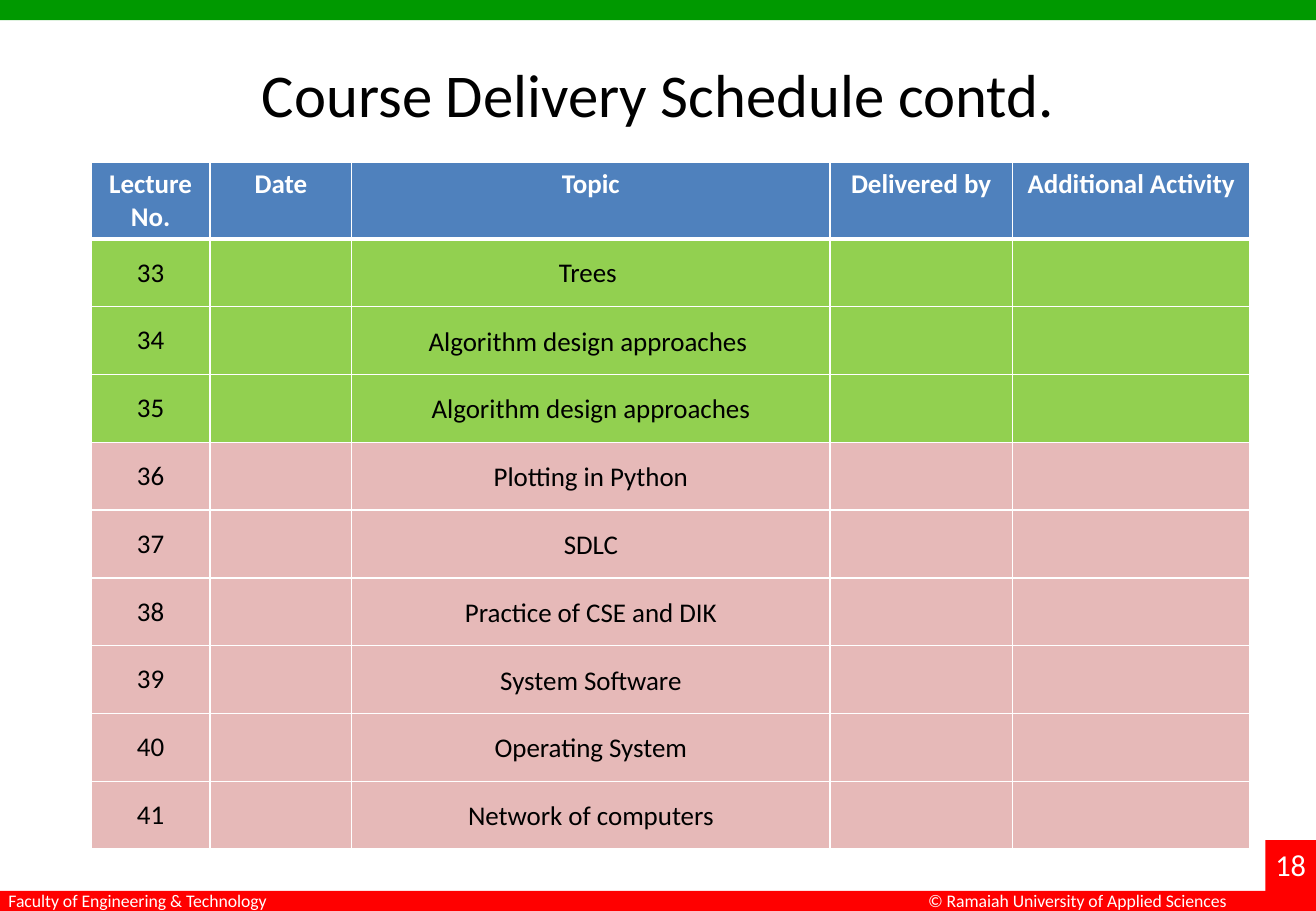
from lxml.etree import SubElement
from pptx import Presentation
from pptx.dml.color import RGBColor
from pptx.enum.shapes import MSO_SHAPE
from pptx.enum.text import MSO_ANCHOR, PP_ALIGN
from pptx.oxml.ns import qn
from pptx.util import Inches, Pt

GRID_COLUMNS, GRID_ROWS = 26, 18
UNIT = 5 / 12
FONT = "Calibri"
WHITE, BLACK, RED, GREEN = "FFFFFF", "000000", "FF0000", "009900"
HEADER_BLUE, DONE_GREEN, PENDING_PINK = "4F81BD", "92D050", "E6B9B8"

COLUMN_WIDTHS = [2.35, 2.8, 9.45, 3.6, 4.7]
HEADER_HEIGHT, LECTURE_HEIGHT = 1.47, 1.34
HEADERS = ["Lecture No.", "Date", "Topic", "Delivered by", "Additional Activity"]
FIRST_LECTURE, DONE_COUNT = 33, 3
TOPICS = [
    "Trees ",
    "Algorithm design approaches ",
    "Algorithm design approaches",
    "Plotting in Python",
    "SDLC",
    "Practice of CSE and DIK",
    "System Software",
    "Operating System",
    "Network of computers",
]


def grid(units):
    return Inches(units * UNIT)


def color(hex_text):
    return RGBColor.from_string(hex_text)


def add_run(p, text, size, hex_text, bold=False):
    r = p.add_run()
    r.text = text
    r.font.name = FONT
    r.font.size = Pt(size)
    r.font.bold = bold
    r.font.color.rgb = color(hex_text)


def add_block(s, x, y, w, h, hex_text):
    sp = s.shapes.add_shape(MSO_SHAPE.RECTANGLE, *map(grid, (x, y, w, h)))
    sp.shadow.inherit = False
    sp.fill.solid()
    sp.fill.fore_color.rgb = color(hex_text)
    sp.line.fill.background()


def add_text(s, x, y, w, h, text, size, hex_text, align=PP_ALIGN.LEFT, wrap=False):
    tf = s.shapes.add_textbox(*map(grid, (x, y, w, h))).text_frame
    tf.word_wrap = wrap
    p = tf.paragraphs[0]
    p.alignment = align
    add_run(p, text, size, hex_text)


def set_borders(cell, top, bottom):
    tc_pr = cell._tc.get_or_add_tcPr()
    for side, width in (("L", 1), ("R", 1), ("T", top), ("B", bottom)):
        ln = SubElement(tc_pr, qn(f"a:ln{side}"), w=str(Pt(width)))
        SubElement(SubElement(ln, qn("a:solidFill")), qn("a:srgbClr"), val=WHITE)


def fill_cell(cell, row, column, text, hex_text):
    is_header = row == 0
    set_borders(cell, 3 if row == 1 else 1, 3 if is_header else 1)
    cell.fill.solid()
    cell.fill.fore_color.rgb = color(hex_text)
    if not text:
        return
    p = cell.text_frame.paragraphs[0]
    p.alignment = PP_ALIGN.CENTER
    add_run(p, text, 16, WHITE if is_header else BLACK, is_header)
    if is_header:
        return
    cell.vertical_anchor = MSO_ANCHOR.MIDDLE
    if column == 2:
        cell.margin_left = cell.margin_right = Inches(0.07)
        cell.margin_top = cell.margin_bottom = 0
        if row > 1:
            p.line_spacing = 1.07


def add_schedule(s, x, y):
    rows = [(HEADERS, HEADER_BLUE)]
    for i, topic in enumerate(TOPICS):
        fill = DONE_GREEN if i < DONE_COUNT else PENDING_PINK
        rows.append(([str(FIRST_LECTURE + i), "", topic, "", ""], fill))
    heights = [HEADER_HEIGHT] + [LECTURE_HEIGHT] * len(TOPICS)
    size = map(grid, (x, y, sum(COLUMN_WIDTHS), sum(heights)))
    table = s.shapes.add_table(len(rows), len(COLUMN_WIDTHS), *size).table
    for column, width in zip(table.columns, COLUMN_WIDTHS):
        column.width = grid(width)
    for i, (texts, fill) in enumerate(rows):
        table.rows[i].height = grid(heights[i])
        for j, text in enumerate(texts):
            fill_cell(table.cell(i, j), i, j, text, fill)


def main():
    prs = Presentation()
    prs.slide_width, prs.slide_height = grid(GRID_COLUMNS), grid(GRID_ROWS)
    s = prs.slides.add_slide(prs.slide_layouts[6])
    add_block(s, 0, 0, GRID_COLUMNS, 0.4, GREEN)
    add_block(s, 0, GRID_ROWS - 0.4, GRID_COLUMNS, 0.4, RED)
    add_block(s, GRID_COLUMNS - 1, GRID_ROWS - 1.4, 1, 1.4, RED)
    add_text(s, 24.96, 16.6, 1.2, 0.96, "18", 18, WHITE)
    add_text(s, -0.07, 17.47, 5.71, 0.67, "Faculty of Engineering & Technology", 10.5, WHITE)
    add_text(s, 18.1, 17.47, 6.48, 0.67, "© Ramaiah University of Applied Sciences", 10.5, WHITE)
    add_text(s, 1.3, 1, 23.4, 1.5, "Course Delivery Schedule contd.", 36, BLACK, PP_ALIGN.CENTER, True)
    add_schedule(s, 1.8, 3.2)
    prs.save("out.pptx")


if __name__ == "__main__":
    main()
